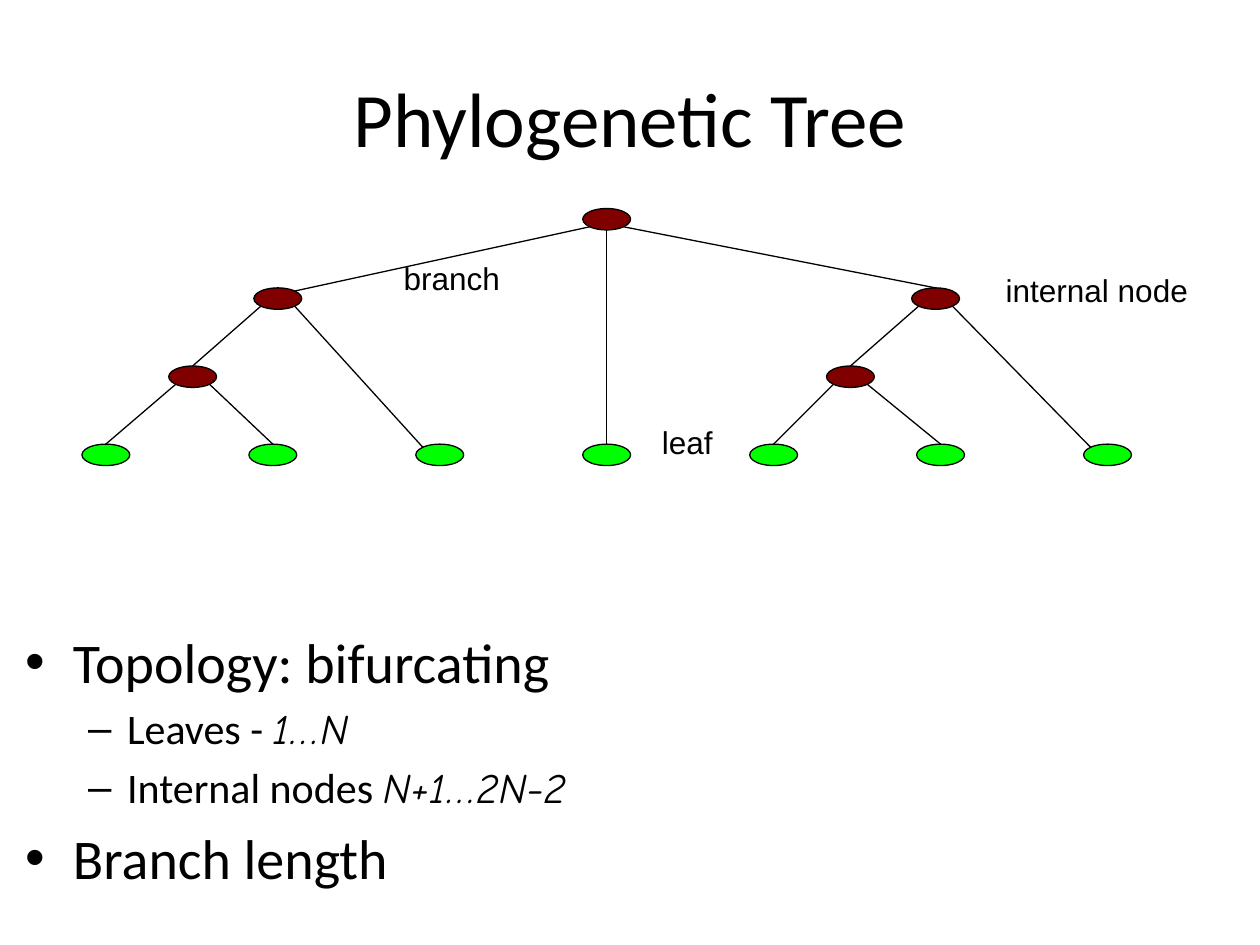
import math
from dataclasses import dataclass

import pptx
import pptx.dml.color
import pptx.enum.shapes
import pptx.enum.text
import pptx.oxml
import pptx.oxml.ns
import pptx.util


@dataclass(frozen=True)
class Theme:
    ink: str = "000000"
    inner: str = "800000"
    leaf: str = "00FF00"
    heading_font: str = "Calibri"
    label_font: str = "Arial"
    math_font: str = "Comic Neue"
    title_size: int = 44
    label_size: int = 18
    bullet_sizes: tuple = (32, 24)
    line_width: float = 0.75


THEME = Theme()
WIDTH, HEIGHT = 10, 7.5

# Tree grid: one column per leaf, one row per level of the tree
FIRST_COLUMN, COLUMN_STEP = 0.84, 1.325
ROWS = (1.74, 2.37, 2.99, 3.61)
NODE_WIDTH, NODE_HEIGHT = 0.38, 0.17

INNER_NODES = {
    "root": (3, 0),
    "left": (1.03, 1),
    "left pair": (0.52, 2),
    "right": (4.97, 1),
    "right pair": (4.46, 2),
}
LEAVES = {f"leaf {number}": (number - 1, 3) for number in range(1, 8)}
NODES = INNER_NODES | LEAVES

# Angles on a node's outline, clockwise from the right
TOP, TOP_LEFT, TOP_RIGHT = 270, 225, 315
BOTTOM, BOTTOM_LEFT, BOTTOM_RIGHT = 90, 135, 45
BRANCHES = (
    ("root", BOTTOM_LEFT, "left", TOP_RIGHT),
    ("root", BOTTOM, "leaf 4", TOP),
    ("root", BOTTOM_RIGHT, "right", TOP),
    ("left", BOTTOM_LEFT, "left pair", TOP),
    ("left", BOTTOM_RIGHT, "leaf 3", TOP_LEFT),
    ("left pair", BOTTOM_LEFT, "leaf 1", TOP),
    ("left pair", BOTTOM_RIGHT, "leaf 2", TOP),
    ("right", BOTTOM_LEFT, "right pair", TOP),
    ("right", BOTTOM_RIGHT, "leaf 7", TOP_LEFT),
    ("right pair", BOTTOM_LEFT, "leaf 5", TOP),
    ("right pair", BOTTOM_RIGHT, "leaf 6", TOP),
)

LABELS = (
    ("leaf", 4.83, 3.31, 1.25),
    ("branch", 2.96, 2.01, 1.25),
    ("internal node", 7.62, 2.1, 2.17),
)

# Level, plain text, formula
BULLETS = (
    (0, "Topology: bifurcating", ""),
    (1, "Leaves - ", "1…N"),
    (1, "Internal nodes ", "N+1…2N-2"),
    (0, "Branch length", ""),
)
# Symbol, text indent, hanging width
BULLET_STYLES = (("•", 0.38, 0.38), ("–", 0.81, 0.31))


def inches(*lengths):
    return [pptx.util.Inches(length) for length in lengths]


def colour(code):
    return pptx.dml.color.RGBColor.from_string(code)


def add_span(para, text, *, font, size, italic=False):
    span = para.add_run()
    span.text = text
    span.font.name = font
    span.font.size = pptx.util.Pt(size)
    span.font.italic = italic
    span.font.color.rgb = colour(THEME.ink)


def add_title(page, text):
    title = page.shapes.title
    title.left, title.top, title.width, title.height = inches(
        0.05 * WIDTH, 0.04 * HEIGHT, 0.9 * WIDTH, 1.25)
    title.text_frame.vertical_anchor = pptx.enum.text.MSO_ANCHOR.MIDDLE
    para = title.text_frame.paragraphs[0]
    para.alignment = pptx.enum.text.PP_ALIGN.CENTER
    add_span(para, text, font=THEME.heading_font, size=THEME.title_size)


def add_box(page, left, top, width, height):
    box = page.shapes.add_textbox(*inches(left, top, width, height))
    box.text_frame.word_wrap = True
    return box.text_frame


def add_label(page, text, left, top, width):
    para = add_box(page, left, top, width, 0.5).paragraphs[0]
    para.alignment = pptx.enum.text.PP_ALIGN.CENTER
    add_span(para, text, font=THEME.label_font, size=THEME.label_size)


def set_bullet(para, level):
    symbol, indent, hanging = BULLET_STYLES[level]
    para.level = level
    properties = para._p.get_or_add_pPr()
    properties.set("marL", str(pptx.util.Inches(indent)))
    properties.set("indent", str(-pptx.util.Inches(hanging)))
    for tag, attribute, value in (("a:buFont", "typeface", THEME.label_font),
                                  ("a:buChar", "char", symbol)):
        element = pptx.oxml.parse_xml(f"<{tag} {pptx.oxml.ns.nsdecls('a')}/>")
        element.set(attribute, value)
        properties.append(element)


def add_bullets(page):
    frame = add_box(page, 0.1, 4.93, 9.45, 2.28)
    for index, (level, text, formula) in enumerate(BULLETS):
        para = frame.add_paragraph() if index else frame.paragraphs[0]
        size = THEME.bullet_sizes[level]
        set_bullet(para, level)
        if index:
            para.space_before = pptx.util.Pt(0.2 * size)
        add_span(para, text, font=THEME.heading_font, size=size)
        if formula:
            add_span(para, formula, font=THEME.math_font, size=size, italic=True)


def node_centre(name):
    column, row = NODES[name]
    return FIRST_COLUMN + column * COLUMN_STEP, ROWS[row]


def outline_point(name, angle):
    x, y = node_centre(name)
    turn = math.radians(angle)
    return (x + NODE_WIDTH / 2 * math.cos(turn),
            y + NODE_HEIGHT / 2 * math.sin(turn))


def format_line(line):
    line.color.rgb = colour(THEME.ink)
    line.width = pptx.util.Pt(THEME.line_width)


def add_branch(page, parent, parent_angle, child, child_angle):
    branch = page.shapes.add_connector(
        pptx.enum.shapes.MSO_CONNECTOR.STRAIGHT,
        *inches(*outline_point(parent, parent_angle),
                *outline_point(child, child_angle)))
    format_line(branch.line)
    branch._element.spPr.append(
        pptx.oxml.parse_xml(f"<a:effectLst {pptx.oxml.ns.nsdecls('a')}/>"))


def add_node(page, name):
    x, y = node_centre(name)
    node = page.shapes.add_shape(
        pptx.enum.shapes.MSO_SHAPE.OVAL,
        *inches(x - NODE_WIDTH / 2, y - NODE_HEIGHT / 2, NODE_WIDTH, NODE_HEIGHT))
    node.shadow.inherit = False
    node.fill.solid()
    node.fill.fore_color.rgb = colour(THEME.leaf if name in LEAVES else THEME.inner)
    format_line(node.line)


def main():
    deck = pptx.Presentation()
    deck.slide_width, deck.slide_height = inches(WIDTH, HEIGHT)
    page = deck.slides.add_slide(deck.slide_layouts.get_by_name("Title Only"))
    add_title(page, "Phylogenetic Tree")
    add_bullets(page)
    for label in LABELS:
        add_label(page, *label)
    for branch in BRANCHES:
        add_branch(page, *branch)
    for name in NODES:
        add_node(page, name)
    deck.save("out.pptx")


if __name__ == "__main__":
    main()
